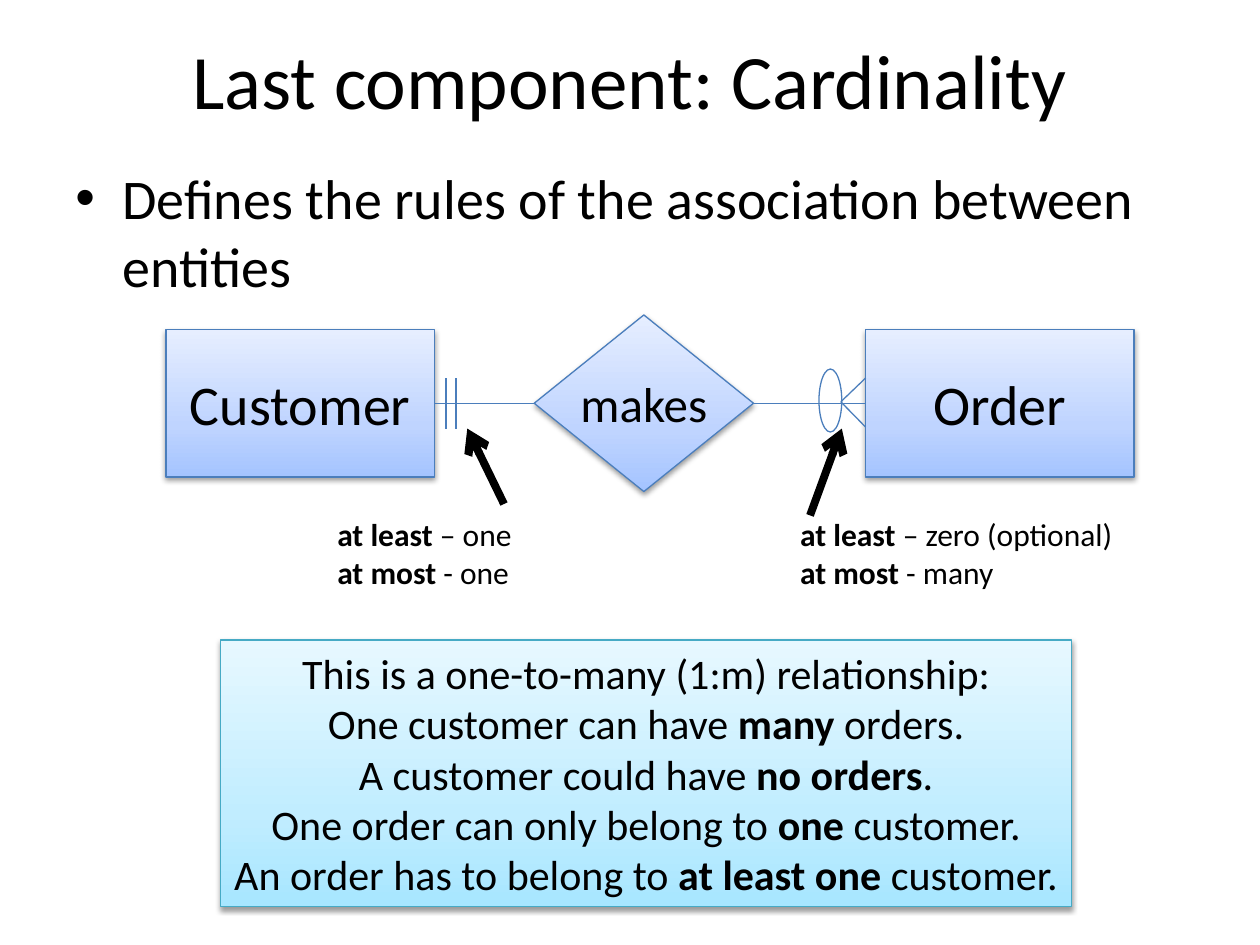
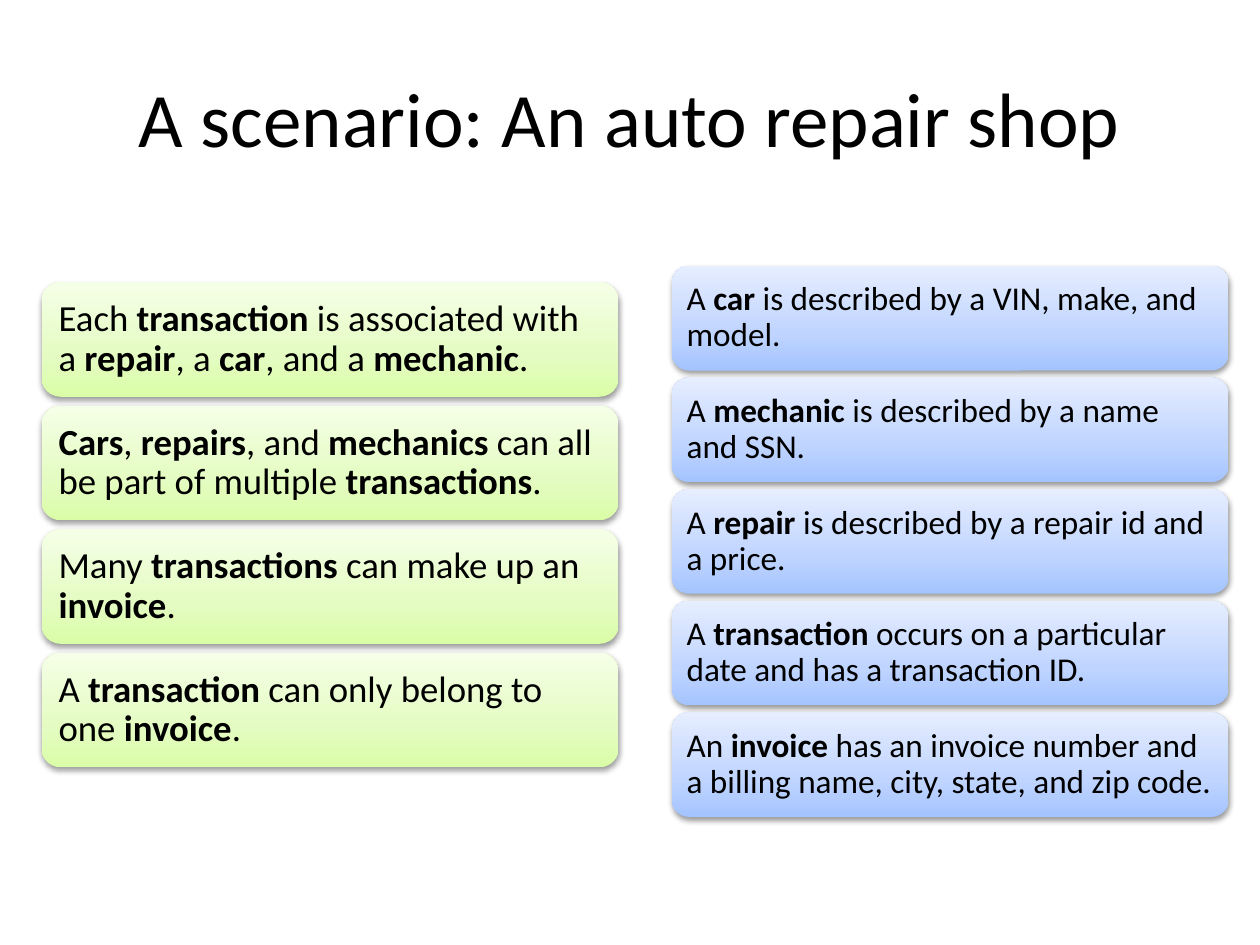
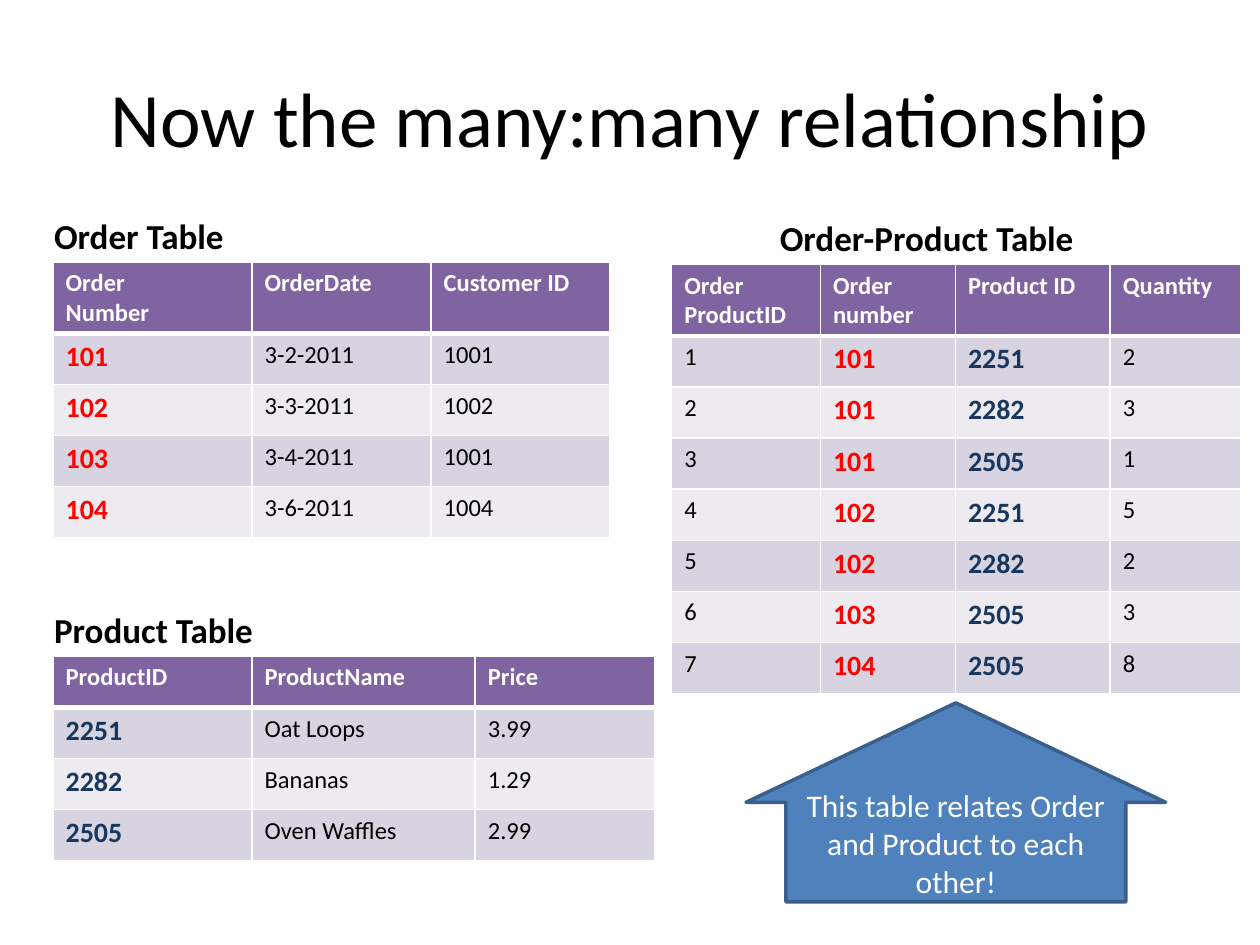
from copy import deepcopy
from dataclasses import dataclass
from typing import Optional

from lxml.etree import SubElement
from pptx import Presentation
from pptx.dml.color import RGBColor
from pptx.enum.shapes import MSO_CONNECTOR, MSO_SHAPE
from pptx.enum.text import MSO_ANCHOR, MSO_AUTO_SIZE, PP_ALIGN
from pptx.oxml.ns import qn
from pptx.util import Cm, Pt

FONT = "Calibri"
COLORS = {
    "black": "000000",
    "white": "FFFFFF",
    "outline": "4B7EBC",
    "aqua_outline": "46AAC5",
    "arrow_fill": "4F81BD",
    "arrow_outline": "3A5F8C",
    "header": "8064A2",
    "band_dark": "D8D3E0",
    "band_light": "EDEAF0",
    "order_key": "FF0000",
    "product_key": "17375E",
}
GRADIENTS = {
    "blue": ("A4C4FF", "BFD4FF", "E6EEFF"),
    "green": ("DAFDA7", "E4FCC2", "F5FFE7"),
    "aqua": ("A7E6FF", "C1EDFF", "E7F8FF"),
}
GRADIENT_POSITIONS = (0, 0.35, 1)
ROW_HEIGHT = 1.03


@dataclass(frozen=True)
class Box:
    left: float
    top: float
    width: float
    height: float

    def emu(self) -> tuple:
        return Cm(self.left), Cm(self.top), Cm(self.width), Cm(self.height)


@dataclass(frozen=True)
class TextStyle:
    size: int
    color: str = "black"
    bold: bool = False
    align: PP_ALIGN = PP_ALIGN.LEFT
    spacing: Optional[float] = None


@dataclass(frozen=True)
class Node:
    shape: MSO_SHAPE
    box: Box
    lines: list
    size: int
    gradient: str = "blue"
    outline: str = "outline"
    wrap: bool = True


@dataclass(frozen=True)
class Line:
    x1: float
    y1: float
    x2: float
    y2: float
    color: str = "outline"
    width: float = 0.75
    arrow: bool = False


@dataclass(frozen=True)
class Label:
    box: Box
    lines: list


@dataclass(frozen=True)
class CardStack:
    box: Box
    pitch: float
    inset: float
    size: int
    gradient: str
    cards: list


@dataclass(frozen=True)
class Column:
    head: str
    width: float
    key: Optional[str] = None


@dataclass(frozen=True)
class DataTable:
    heading: str
    heading_box: Box
    left: float
    top: float
    columns: list
    rows: list


TITLE_STYLE = TextStyle(44, align=PP_ALIGN.CENTER)
LABEL_STYLE = TextStyle(18)
HEADING_STYLE = TextStyle(20, bold=True)
HEADER_STYLE = TextStyle(14, "white", True)
CELL_STYLE = TextStyle(14)

ENTITIES = [
    Node(MSO_SHAPE.RECTANGLE, Box(3.35, 6.65, 5.41, 2.97), ["Customer"], 32),
    Node(MSO_SHAPE.DIAMOND, Box(10.77, 6.35, 4.42, 3.56), ["makes"], 28, wrap=False),
    Node(MSO_SHAPE.RECTANGLE, Box(17.45, 6.65, 5.41, 2.97), ["Order"], 32),
    Node(MSO_SHAPE.RECTANGLE, Box(4.45, 12.9, 17.15, 5.38), [
        "This is a one-to-many (1:m) relationship:",
        "One customer can have *many* orders.",
        "A customer could have *no orders*.",
        "One order can only belong to *one* customer.",
        "An order has to belong to *at least one *customer.",
    ], 24, "aqua", "aqua_outline"),
]
CARDINALITY_LINES = [
    Line(10.77, 8.13, 8.76, 8.13),
    Line(17.45, 8.13, 15.19, 8.13),
    Line(8.99, 7.62, 8.99, 8.64),
    Line(9.19, 7.62, 9.19, 8.64),
    Line(17.45, 8.61, 16.95, 8.1),
    Line(17.45, 7.62, 16.95, 8.1),
    Line(16.33, 10.39, 16.97, 8.64, "black", 4.5, True),
    Line(10.16, 10.16, 9.42, 8.64, "black", 4.5, True),
]
CARDINALITY_LABELS = [
    Label(Box(6.55, 10.26, 4.5, 1.8), ["*at least *– one", "*at most *- one"]),
    Label(Box(15.88, 10.26, 6.88, 1.8), ["*at least *– zero (optional)", "*at most *- many"]),
]
STACKS = [
    CardStack(Box(0.84, 5.69, 11.63, 2.31), 2.49, 0.23, 21, "green", [
        "Each *transaction *is associated with a *repair*, a *car*, and a *mechanic*.",
        "*Cars*, *repairs*, and *mechanics* can all be part of multiple *transactions*.",
        "Many *transactions *can make up an *invoice*.",
        "A *transaction *can only belong to one *invoice*.",
    ]),
    CardStack(Box(13.54, 5.36, 11.23, 2.11), 2.25, 0.2, 19, "blue", [
        "A *car* is described by a VIN, make, and model.",
        "A *mechanic* is described by a name and SSN.",
        "A *repair *is described by a repair id and a price.",
        "A *transaction* occurs on a particular date and has a transaction ID.",
        "An *invoice* has an invoice number and a billing name, city, state, and zip code.",
    ]),
]
TABLES = [
    DataTable(
        "Order Table", Box(0.84, 4.19, 4.45, 1.12), 1.07, 5.28,
        [Column("Order\vNumber", 4.01, "order_key"), Column("OrderDate", 3.61),
         Column("Customer ID", 3.61)],
        [("101", "3-2-2011", "1001"), ("102", "3-3-2011", "1002"),
         ("103", "3-4-2011", "1001"), ("104", "3-6-2011", "1004")],
    ),
    DataTable(
        "Product Table", Box(0.84, 12.14, 5.21, 1.12), 1.07, 13.23,
        [Column("ProductID", 4.01, "product_key"), Column("ProductName", 4.5),
         Column("Price", 3.61)],
        [("2251", "Oat Loops", "3.99"), ("2282", "Bananas", "1.29"),
         ("2505", "Oven Waffles", "2.99")],
    ),
    DataTable(
        "Order-Product Table", Box(15.47, 4.24, 7.39, 1.12), 13.54, 5.33,
        [Column("Order\vProductID", 3), Column("Order number", 2.72, "order_key"),
         Column("Product ID", 3.12, "product_key"), Column("Quantity", 2.64)],
        [("1", "101", "2251", "2"), ("2", "101", "2282", "3"),
         ("3", "101", "2505", "1"), ("4", "102", "2251", "5"),
         ("5", "102", "2282", "2"), ("6", "103", "2505", "3"),
         ("7", "104", "2505", "8")],
    ),
]


def rgb(name: str) -> RGBColor:
    return RGBColor.from_string(COLORS[name])


def write_text(tf, lines: list, style: TextStyle) -> None:
    for i, line in enumerate(lines):
        p = tf.add_paragraph() if i else tf.paragraphs[0]
        p.alignment = style.align
        if style.spacing:
            p.line_spacing = style.spacing
        first, *rest = line.split("*")
        p.text = first
        plain_runs = len(p.runs)
        for j, part in enumerate(rest, 1):
            if part:
                r = p.add_run()
                r.text = part
                r.font.bold = j % 2 == 1
        for k, r in enumerate(p.runs):
            r.font.name = FONT
            r.font.size = Pt(style.size)
            r.font.color.rgb = rgb(style.color)
            if k < plain_runs:
                r.font.bold = style.bold


def add_text(s, box: Box, lines: list, style: TextStyle, wrap: bool = True):
    tf = s.shapes.add_textbox(*box.emu()).text_frame
    tf.word_wrap = wrap
    tf.auto_size = MSO_AUTO_SIZE.NONE if wrap else MSO_AUTO_SIZE.SHAPE_TO_FIT_TEXT
    write_text(tf, lines, style)
    return tf


def add_titled_slide(prs, title: str, top: float = 0.76):
    s = prs.slides.add_slide(prs.slide_layouts[6])
    tf = add_text(s, Box(1.27, top, 22.86, 3.18), [title], TITLE_STYLE)
    tf.vertical_anchor = MSO_ANCHOR.MIDDLE
    return s


def add_plain_shape(s, shape: MSO_SHAPE, box: Box, outline: Optional[str], width: float = 0.75):
    sp = s.shapes.add_shape(shape, *box.emu())
    sp.shadow.inherit = False
    sp.text_frame.vertical_anchor = MSO_ANCHOR.MIDDLE
    if outline:
        sp.line.color.rgb = rgb(outline)
        sp.line.width = Pt(width)
    else:
        sp.line.fill.background()
    return sp


def add_gradient_shape(s, shape: MSO_SHAPE, box: Box, gradient: str, outline: Optional[str]):
    sp = add_plain_shape(s, shape, box, outline)
    sp.fill.gradient()
    sp.fill.gradient_angle = 90
    stop_list = sp.element.spPr.find(f".//{qn('a:gsLst')}")
    stop_list.append(deepcopy(stop_list[0]))
    for stop, position, color in zip(sp.fill.gradient_stops, GRADIENT_POSITIONS, GRADIENTS[gradient]):
        stop.position = position
        stop.color.rgb = RGBColor.from_string(color)
    effects = sp.element.spPr.find(qn("a:effectLst"))
    shadow = SubElement(effects, qn("a:outerShdw"), blurRad="40000", dist="20000",
                        dir="5400000", rotWithShape="0")
    color = SubElement(shadow, qn("a:srgbClr"), val=COLORS["black"])
    SubElement(color, qn("a:alpha"), val="38000")
    return sp


def add_node(s, node: Node) -> None:
    sp = add_gradient_shape(s, node.shape, node.box, node.gradient, node.outline)
    sp.text_frame.word_wrap = node.wrap
    write_text(sp.text_frame, node.lines, TextStyle(node.size, align=PP_ALIGN.CENTER))


def add_line(s, line: Line) -> None:
    cx = s.shapes.add_connector(MSO_CONNECTOR.STRAIGHT, Cm(line.x1), Cm(line.y1),
                                Cm(line.x2), Cm(line.y2))
    cx.line.color.rgb = rgb(line.color)
    cx.line.width = Pt(line.width)
    spPr = cx._element.spPr
    if line.arrow:
        SubElement(spPr.find(qn("a:ln")), qn("a:tailEnd"), type="arrow")
    SubElement(spPr, qn("a:effectLst"))


def add_stack(s, stack: CardStack) -> None:
    box = stack.box
    for i, card in enumerate(stack.cards):
        place = Box(box.left, box.top + i * stack.pitch, box.width, box.height)
        sp = add_gradient_shape(s, MSO_SHAPE.ROUNDED_RECTANGLE, place, stack.gradient, None)
        tf = sp.text_frame
        tf.word_wrap = True
        tf.margin_left = tf.margin_right = tf.margin_top = tf.margin_bottom = Cm(stack.inset)
        write_text(tf, [card], TextStyle(stack.size, spacing=0.9))


def set_borders(cell, top: float, bottom: float) -> None:
    tcPr = cell._tc.get_or_add_tcPr()
    for side, width in (("L", 1), ("R", 1), ("T", top), ("B", bottom)):
        ln = SubElement(tcPr, qn(f"a:ln{side}"), w=str(Pt(width)))
        fill = SubElement(ln, qn("a:solidFill"))
        SubElement(fill, qn("a:srgbClr"), val=COLORS["white"])


def style_cell(cell, row: int, column: Column) -> None:
    set_borders(cell, 3 if row == 1 else 1, 3 if row == 0 else 1)
    cell.fill.solid()
    if row == 0:
        fill, style = "header", HEADER_STYLE
    else:
        fill = "band_dark" if row % 2 else "band_light"
        style = TextStyle(16, column.key, True) if column.key else CELL_STYLE
    cell.fill.fore_color.rgb = rgb(fill)
    text = column.head if row == 0 else cell.text_frame.text
    write_text(cell.text_frame, [text], style)


def add_data_table(s, data: DataTable) -> None:
    add_text(s, data.heading_box, [data.heading], HEADING_STYLE, wrap=False)
    count = len(data.rows) + 1
    box = Box(data.left, data.top, sum(c.width for c in data.columns), count * ROW_HEIGHT)
    table = s.shapes.add_table(count, len(data.columns), *box.emu()).table
    for row in table.rows:
        row.height = Cm(ROW_HEIGHT)
    for j, column in enumerate(data.columns):
        table.columns[j].width = Cm(column.width)
        for i in range(count):
            cell = table.cell(i, j)
            if i:
                cell.text_frame.text = data.rows[i - 1][j]
            style_cell(cell, i, column)


def build_cardinality(prs) -> None:
    s = add_titled_slide(prs, "Last component: Cardinality", 0)
    tf = add_text(s, Box(1.27, 3.18, 22.86, 12.57), [""], TextStyle(32))
    pPr = tf.paragraphs[0]._p.get_or_add_pPr()
    pPr.set("marL", str(Cm(0.95)))
    pPr.set("indent", str(-Cm(0.95)))
    SubElement(pPr, qn("a:buFont"), typeface="Arial")
    SubElement(pPr, qn("a:buChar"), char="•")
    write_text(tf, ["Defines the rules of the association between entities"], TextStyle(32))
    for node in ENTITIES:
        add_node(s, node)
    for line in CARDINALITY_LINES:
        add_line(s, line)
    for label in CARDINALITY_LABELS:
        add_text(s, label.box, label.lines, LABEL_STYLE, wrap=False)
    zero_mark = add_plain_shape(s, MSO_SHAPE.OVAL, Box(16.51, 7.44, 0.46, 1.27), "outline")
    zero_mark.fill.background()


def build_scenario(prs) -> None:
    s = add_titled_slide(prs, "A scenario: An auto repair shop")
    for stack in STACKS:
        add_stack(s, stack)


def build_many_to_many(prs) -> None:
    s = add_titled_slide(prs, "Now the many:many relationship")
    for data in TABLES:
        add_data_table(s, data)
    sp = add_plain_shape(s, MSO_SHAPE.UP_ARROW, Box(15.04, 14.17, 8.46, 4.01), "arrow_outline", 2)
    sp.adjustments[0] = 0.81
    sp.adjustments[1] = 0.5
    sp.fill.solid()
    sp.fill.fore_color.rgb = rgb("arrow_fill")
    sp.text_frame.word_wrap = True
    write_text(sp.text_frame, ["This table relates Order and Product to each other!"],
               TextStyle(18, "white", align=PP_ALIGN.CENTER))


def main() -> None:
    prs = Presentation()
    prs.slide_width, prs.slide_height = Cm(25.4), Cm(19.05)
    build_cardinality(prs)
    build_scenario(prs)
    build_many_to_many(prs)
    prs.save("out.pptx")


if __name__ == "__main__":
    main()
